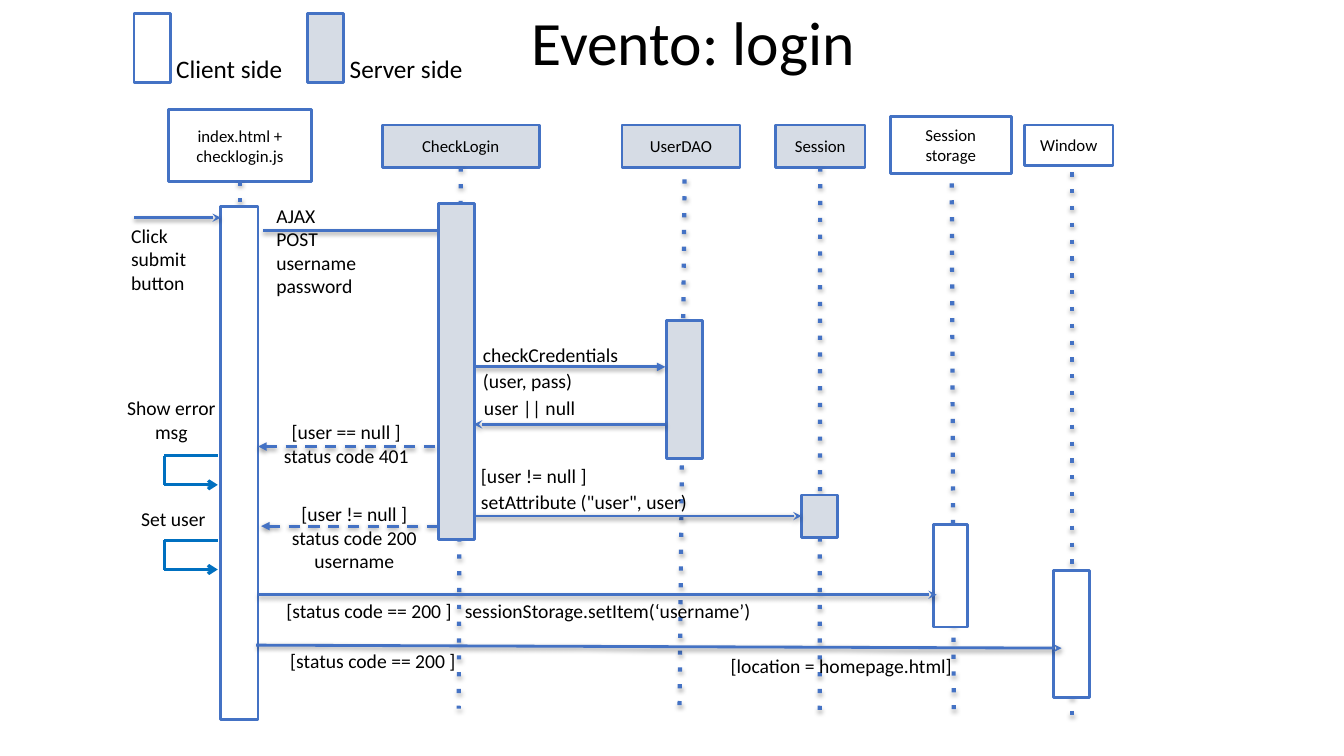
"""Build the login event sequence diagram slide."""
import dataclasses

import pptx
import pptx.dml.color
import pptx.enum.shapes
import pptx.enum.text
import pptx.oxml.ns
import pptx.util
from lxml import etree

Inches = pptx.util.Inches
Pt = pptx.util.Pt
qn = pptx.oxml.ns.qn
ALIGN = pptx.enum.text.PP_ALIGN
ANCHOR = pptx.enum.text.MSO_ANCHOR


@dataclasses.dataclass(frozen=True)
class Theme:
    font: str = "Calibri"
    text: str = "000000"
    line: str = "4472C4"
    loop: str = "0070C0"
    client: str = "FFFFFF"
    server: str = "D6DCE5"
    title_size: float = 44
    legend_size: float = 18
    label_size: float = 14
    head_size: float = 12


THEME = Theme()
TITLE = "Evento: login"
FRONT = "CheckLogin"

LEGEND = [
    ("Client side", THEME.client, 1.33, 1.33),
    ("Server side", THEME.server, 3.05, 1.39),
]

PARTICIPANTS = [
    {"name": "index.html + checklogin.js", "fill": THEME.client, "head": (1.67, 1.09, 1.42, 0.71),
     "life": (2.38, 1.8, 2.38, 6.64), "joined": True, "bar": (2.19, 2.05, 0.37, 5.09)},
    {"name": "CheckLogin", "fill": THEME.server, "head": (3.79, 1.24, 1.56, 0.42),
     "life": (4.55, 1.65, 4.55, 7.03), "joined": True, "bar": (4.35, 2.02, 0.36, 3.33)},
    {"name": "UserDAO", "fill": THEME.server, "head": (6.17, 1.24, 1.17, 0.42),
     "life": (6.79, 1.78, 6.74, 7.03), "joined": False, "bar": (6.61, 3.18, 0.36, 1.37)},
    {"name": "Session", "fill": THEME.server, "head": (7.69, 1.24, 0.89, 0.42),
     "life": (8.13, 1.65, 8.13, 7.13), "joined": True, "bar": (7.95, 4.91, 0.36, 0.42)},
    {"name": "Session storage", "fill": THEME.client, "head": (8.83, 1.16, 1.2, 0.56),
     "life": (9.44, 1.82, 9.46, 7.13), "joined": False, "bar": (9.26, 5.2, 0.34, 1.02)},
    {"name": "Window", "fill": THEME.client, "head": (10.16, 1.24, 0.88, 0.4),
     "life": (10.63, 1.71, 10.63, 7.13), "joined": False, "bar": (10.45, 5.66, 0.36, 1.26)},
]

MESSAGES = [
    ((1.33, 2.16, 2.19, 2.16), {"tail": "stealth"}),
    ((2.61, 2.29, 4.53, 2.29), {"tail": "stealth"}),
    ((4.7, 3.64, 6.6, 3.64), {"tail": "triangle"}),
    ((6.6, 4.21, 4.7, 4.21), {"tail": "stealth"}),
    ((2.56, 4.43, 4.53, 4.43), {"head": "triangle", "dash": "dash"}),
    ((2.59, 5.22, 4.53, 5.22), {"head": "triangle", "dash": "dash"}),
    ((2.56, 5.9, 9.29, 5.9), {"tail": "stealth"}),
    ((2.54, 6.4, 10.53, 6.43), {"tail": "stealth"}),
]
SET_ATTRIBUTE = (4.59, 5.12, 7.95, 5.12)

LABELS = [
    ((1.18, 2.16, 0.86, 1.08), ["Click", "submit", "button"], {}),
    ((2.62, 1.96, 1.08, 0.68), ["AJAX POST username password"], {}),
    ((4.67, 3.34, 1.9, 0.53), ["checkCredentials", "(user, pass)"], {"after": 2}),
    ((4.68, 3.87, 1.35, 0.4), ["user || null"], {}),
    ((4.65, 4.54, 3.69, 0.63), ["[user != null ]", 'setAttribute ("user", user)'], {"after": 2}),
    ((2.72, 5.88, 5.07, 0.37), ["[status code == 200 ]\tsessionStorage.setItem(‘username’)"], {"tab": 1.77}),
    ((1.1, 3.87, 1.2, 0.61), ["Show error msg"], {"align": ALIGN.CENTER}),
    ((1.12, 4.97, 1.2, 0.61), ["Set user"], {"align": ALIGN.CENTER}),
    ((2.62, 4.11, 1.63, 0.51), ["[user == null ]", "status code 401"], {"align": ALIGN.CENTER}),
    ((2.68, 4.92, 1.67, 0.71), ["[user != null ]", "status code 200", "username"], {"align": ALIGN.CENTER}),
    ((2.58, 6.38, 2.24, 0.37), ["[status code == 200 ]"], {"align": ALIGN.CENTER}),
    ((7.04, 6.43, 2.61, 0.33), ["[location = homepage.html]"], {"align": ALIGN.CENTER}),
]

LOOP_TOPS = [4.52, 5.36]
LOOP_LEFT, LOOP_RIGHT, LOOP_HEIGHT = 1.63, 2.16, 0.29


def color(code):
    return pptx.dml.color.RGBColor.from_string(code)


def write(shape, lines, size=THEME.label_size, align=ALIGN.LEFT, anchor=ANCHOR.TOP,
          after=0, tab=None, spacing=None, inset=(0.12, 0.06), wrap=True):
    frame = shape.text_frame
    frame.word_wrap = wrap
    frame.auto_size = (pptx.enum.text.MSO_AUTO_SIZE.NONE if wrap
                       else pptx.enum.text.MSO_AUTO_SIZE.SHAPE_TO_FIT_TEXT)
    frame.vertical_anchor = anchor
    frame.margin_left = frame.margin_right = Inches(inset[0])
    frame.margin_top = frame.margin_bottom = Inches(inset[1])
    for number, line in enumerate(lines):
        para = frame.add_paragraph() if number else frame.paragraphs[0]
        para.alignment = align
        para.space_after = Pt(after)
        if spacing:
            para.line_spacing = spacing
        if tab:
            stops = etree.SubElement(para._p.get_or_add_pPr(), qn("a:tabLst"))
            etree.SubElement(stops, qn("a:tab"), pos=str(Inches(tab)), algn="l")
        span = para.add_run()
        span.text = line
        span.font.name = THEME.font
        span.font.size = Pt(size)
        span.font.color.rgb = color(THEME.text)


def add_label(page, place, lines, **style):
    write(page.shapes.add_textbox(*map(Inches, place)), lines, **style)


def add_box(page, place, fill):
    box = page.shapes.add_shape(pptx.enum.shapes.MSO_SHAPE.RECTANGLE, *map(Inches, place))
    box.shadow.inherit = False
    box.fill.solid()
    box.fill.fore_color.rgb = color(fill)
    box.line.color.rgb = color(THEME.line)
    box.line.width = Pt(2)
    return box


def add_line(shapes, ends, stroke=THEME.line, width=2, dash=None, head=None, tail=None,
             shadow=(20000, 38000)):
    line = shapes.add_connector(pptx.enum.shapes.MSO_CONNECTOR.STRAIGHT, *map(Inches, ends))
    line.line.color.rgb = color(stroke)
    line.line.width = Pt(width)
    properties = line._element.spPr
    outline = properties.find(qn("a:ln"))
    for tag, attribute, value in (("a:prstDash", "val", dash), ("a:headEnd", "type", head),
                                  ("a:tailEnd", "type", tail)):
        if value:
            etree.SubElement(outline, qn(tag)).set(attribute, value)
    effects = etree.SubElement(properties, qn("a:effectLst"))
    if shadow:
        distance, opacity = shadow
        outer = etree.SubElement(effects, qn("a:outerShdw"), blurRad="40000",
                                 dist=str(distance), dir="5400000", rotWithShape="0")
        black = etree.SubElement(outer, qn("a:srgbClr"), val="000000")
        etree.SubElement(black, qn("a:alpha"), val=str(opacity))
    return line


def add_loop(page, top):
    bottom = top + LOOP_HEIGHT
    corners = [(LOOP_RIGHT, top), (LOOP_LEFT, top), (LOOP_LEFT, bottom), (LOOP_RIGHT, bottom)]
    group = page.shapes.add_group_shape()
    for start, end in zip(corners, corners[1:]):
        add_line(group.shapes, start + end, stroke=THEME.loop, width=2.25,
                 tail="arrow" if end == corners[-1] else None, shadow=None)


def main():
    deck = pptx.Presentation()
    deck.slide_width, deck.slide_height = Inches(13.33), Inches(7.5)
    page = deck.slides.add_slide(deck.slide_layouts[5])
    title = page.shapes.title
    title.left, title.top, title.width, title.height = map(Inches, (5.15, -0.1, 9.75, 1.1))
    write(title, [TITLE], size=THEME.title_size, anchor=ANCHOR.MIDDLE, spacing=0.9)

    for name, fill, left, width in LEGEND:
        add_box(page, (left, 0.13, 0.36, 0.69), fill)
        add_label(page, (left + 0.32, 0.48, width, 0.4), [name], size=THEME.legend_size,
                  inset=(0.1, 0.05), wrap=False)

    for part in PARTICIPANTS:
        head = add_box(page, part["head"], part["fill"])
        write(head, [part["name"]], size=THEME.head_size, align=ALIGN.CENTER, anchor=ANCHOR.MIDDLE)
        life = add_line(page.shapes, part["life"], width=3, dash="dot", shadow=(23000, 35000))
        if part["joined"]:
            life.begin_connect(head, 2)

    bars = {part["name"]: add_box(page, part["bar"], part["fill"])
            for part in PARTICIPANTS if part["name"] != FRONT}
    for ends, style in MESSAGES:
        add_line(page.shapes, ends, **style)
    add_line(page.shapes, SET_ATTRIBUTE, tail="stealth").end_connect(bars["Session"], 1)
    for place, lines, style in LABELS:
        add_label(page, place, lines, **style)
    for part in PARTICIPANTS:
        if part["name"] == FRONT:
            add_box(page, part["bar"], part["fill"])
    for top in LOOP_TOPS:
        add_loop(page, top)
    deck.save("out.pptx")


if __name__ == "__main__":
    main()
